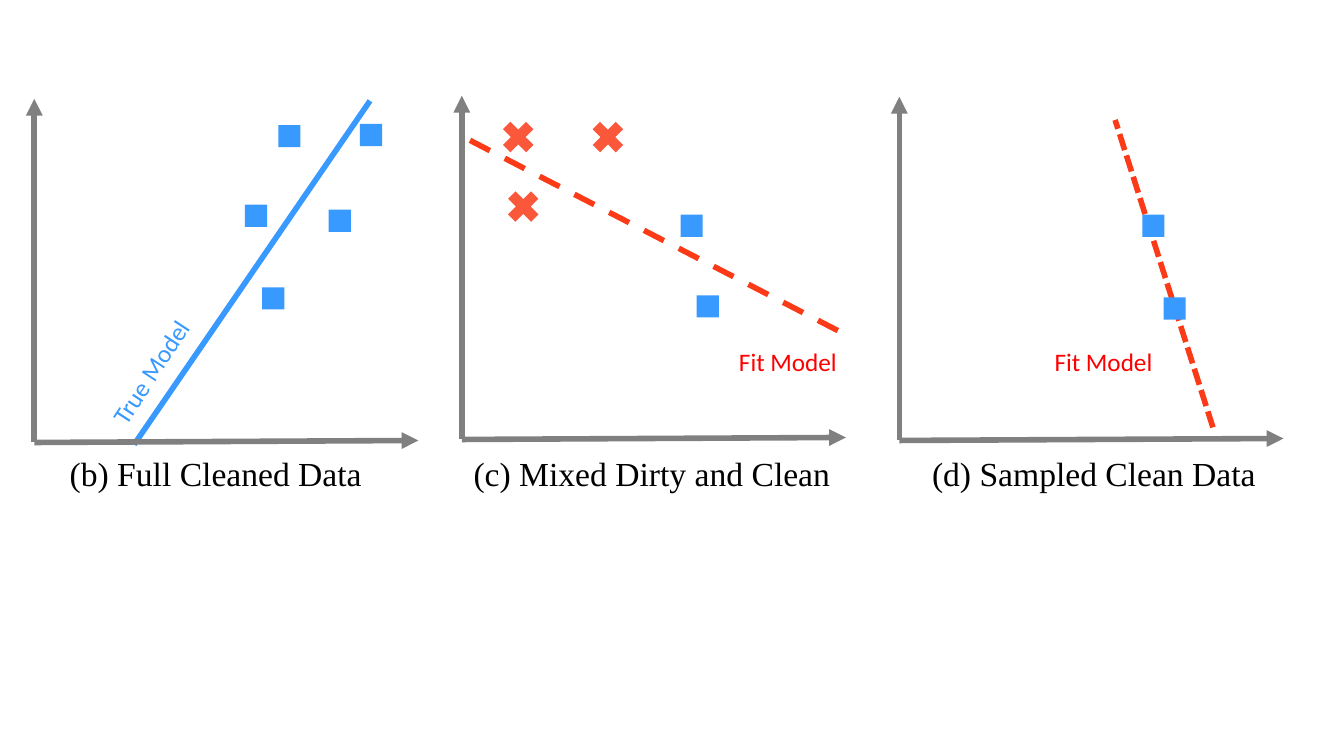
from pptx import Presentation
from pptx.dml.color import RGBColor
from pptx.enum.dml import MSO_LINE
from pptx.enum.shapes import MSO_CONNECTOR, MSO_SHAPE
from pptx.enum.text import MSO_AUTO_SIZE, PP_ALIGN
from pptx.oxml.ns import qn
from pptx.util import Inches, Pt
from lxml.etree import SubElement

BLUE = RGBColor(0x38, 0x99, 0xFF)
ORANGE = RGBColor(0xFB, 0x3A, 0x18)
RED = RGBColor(0xFF, 0x00, 0x00)
GREY = RGBColor(0x80, 0x80, 0x80)
BLACK = RGBColor(0x00, 0x00, 0x00)

AXIS_W, AXIS_H = 3.81, 3.41
SQUARE, CROSS = 0.22, 0.44
CAPTION_TOP = 4.44


def add_text(s, text, left, top, width, height, size=18, font="Calibri",
             color=RED, rotation=0):
    """Add one centred line of text."""
    sp = s.shapes.add_textbox(Inches(left), Inches(top), Inches(width), Inches(height))
    sp.rotation = rotation
    tf = sp.text_frame
    tf.word_wrap = False
    tf.auto_size = MSO_AUTO_SIZE.SHAPE_TO_FIT_TEXT
    p = tf.paragraphs[0]
    p.alignment = PP_ALIGN.CENTER
    r = p.add_run()
    r.text = text
    r.font.size, r.font.name = Pt(size), font
    r.font.color.rgb = color


def add_line(s, x1, y1, x2, y2, color, dash=None, arrow=False):
    """Add a straight line, dashed or ending in an arrowhead if asked."""
    sp = s.shapes.add_connector(MSO_CONNECTOR.STRAIGHT, Inches(x1), Inches(y1),
                                Inches(x2), Inches(y2))
    sp.line.color.rgb = color
    sp.line.width = Pt(4)
    if dash:
        sp.line.dash_style = dash
    if arrow:
        SubElement(sp.line._get_or_add_ln(), qn("a:tailEnd"), type="triangle")
    SubElement(sp._element.spPr, qn("a:effectLst"))


def add_marker(s, preset, left, top, size, color, alpha=None):
    """Add a borderless data marker, with opacity in percent."""
    sp = s.shapes.add_shape(preset, Inches(left), Inches(top), Inches(size), Inches(size))
    sp.shadow.inherit = False
    sp.fill.solid()
    sp.fill.fore_color.rgb = color
    sp.line.fill.background()
    if alpha:
        clr = sp._element.spPr.find(qn("a:solidFill"))[0]
        SubElement(clr, qn("a:alpha"), val=str(alpha * 1000))


def add_panel(s, x, y, caption, model, label, squares, crosses=()):
    """Draw one plot whose vertical axis starts at (x, y); all parts are relative to it."""
    x1, y1, x2, y2 = model["ends"]
    add_line(s, x + x1, y + y1, x + x2, y + y2, model["color"], model.get("dash"))
    for dx, dy in crosses:
        add_marker(s, MSO_SHAPE.MATH_MULTIPLY, x + dx, y + dy, CROSS, ORANGE, alpha=85)
    base = y + AXIS_H
    add_line(s, x, base, x, y, GREY, arrow=True)
    add_line(s, x, base, x + AXIS_W, base - 0.02, GREY, arrow=True)
    for dx, dy in squares:
        add_marker(s, MSO_SHAPE.RECTANGLE, x + dx, y + dy, SQUARE, BLUE)
    text, dx, dy, width, style = label
    add_text(s, text, x + dx, y + dy, width, 0.4, **style)
    text, dx, width = caption
    add_text(s, text, x + dx, CAPTION_TOP, width, 0.5, size=24,
             font="Times New Roman", color=BLACK)


def main():
    """Build the slide with its three plots."""
    prs = Presentation()
    prs.slide_width, prs.slide_height = Inches(13.33), Inches(7.5)
    s = prs.slides.add_slide(prs.slide_layouts[6])
    add_panel(s, 0.34, 0.98, ("(b) Full Cleaned Data", 0.24, 3.12),
              {"ends": (0.99, 3.43, 3.33, 0.02), "color": BLUE},
              ("True Model", 0.46, 2.51, 1.38, {"color": BLUE, "rotation": 303.1}),
              squares=[(2.26, 1.87), (2.92, 1.1), (2.09, 1.05), (2.42, 0.26), (3.23, 0.25)])
    add_panel(s, 4.58, 0.95, ("(c) Mixed Dirty and Clean", 0, 3.77),
              {"ends": (3.73, 2.33, 0, 0.4), "color": ORANGE, "dash": MSO_LINE.DASH},
              ("Fit Model", 2.65, 2.44, 1.17, {}),
              squares=[(2.33, 1.98), (2.17, 1.18)],
              crosses=[(0.34, 0.19), (0.39, 0.88), (1.23, 0.19)])
    add_panel(s, 8.92, 0.96, ("(d) Sampled Clean Data", 0.21, 3.44),
              {"ends": (3.11, 3.28, 2.14, 0.23), "color": ORANGE,
               "dash": MSO_LINE.SQUARE_DOT},
              ("Fit Model", 1.44, 2.43, 1.17, {}),
              squares=[(2.41, 1.17), (2.62, 1.99)])
    prs.save("out.pptx")


main()
